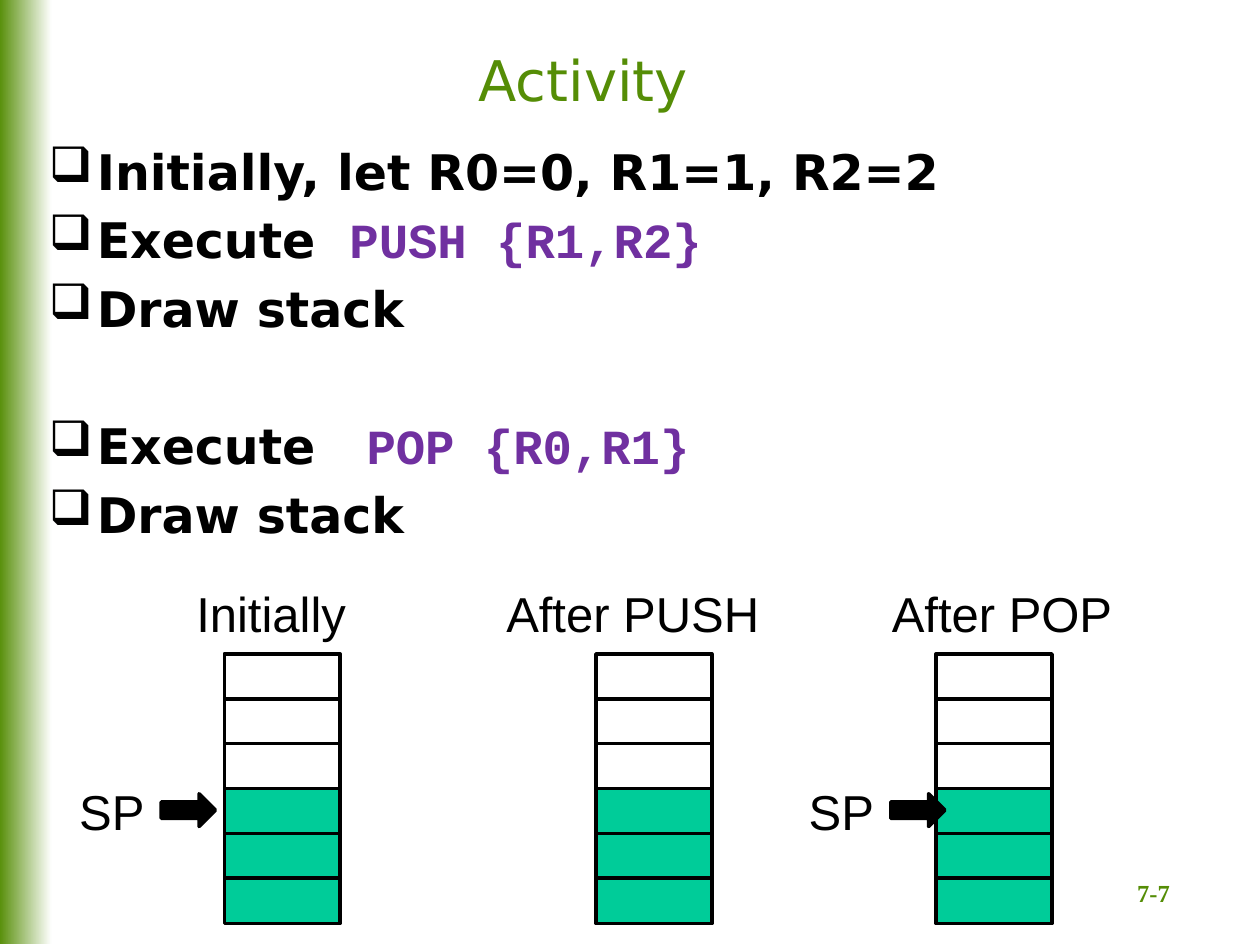
from dataclasses import dataclass
from lxml import etree
from pptx import Presentation
from pptx.dml.color import RGBColor
from pptx.enum.shapes import MSO_SHAPE
from pptx.enum.text import MSO_ANCHOR, PP_ALIGN
from pptx.oxml.ns import qn
from pptx.util import Inches, Pt

RECT, ARROW = MSO_SHAPE.RECTANGLE, MSO_SHAPE.RIGHT_ARROW
TOP, MIDDLE, BOTTOM = MSO_ANCHOR.TOP, MSO_ANCHOR.MIDDLE, MSO_ANCHOR.BOTTOM
LEFT, CENTER = PP_ALIGN.LEFT, PP_ALIGN.CENTER


@dataclass(frozen=True)
class Theme:
    green: str = "558D06"
    teal: str = "00CC99"
    purple: str = "7030A0"
    black: str = "000000"
    white: str = "FFFFFF"
    head: str = "DejaVu Sans"
    code: str = "Courier New"
    plain: str = "Arial"
    serif: str = "Times New Roman"
    title: int = 32
    body: int = 28
    small: int = 14
    gap: float = 5.6


class Deck:
    def __init__(self, theme):
        self.theme = theme
        self.file = Presentation()
        self.file.slide_width = Inches(10)
        self.file.slide_height = Inches(7.5)
        self.slide = self.file.slides.add_slide(self.file.slide_layouts[6])

    def frame(self, x, y, w, h, anchor=TOP, wrap=True):
        box = self.slide.shapes.add_textbox(Inches(x), Inches(y), Inches(w), Inches(h))
        frame = box.text_frame
        frame.word_wrap = wrap
        frame.vertical_anchor = anchor
        return frame

    def run(self, para, text, size, face, color, bold=False, space=0):
        run = para.add_run()
        run.text = text
        font = run.font
        font.size, font.name, font.bold = Pt(size), face, bold
        font.color.rgb = RGBColor.from_string(color)
        if space:
            run._r.get_or_add_rPr().set("spc", str(round(space * 100)))

    def label(self, x, y, w, h, text, size, face, color, bold=False,
              align=LEFT, anchor=TOP, wrap=True, tabs=()):
        para = self.frame(x, y, w, h, anchor, wrap).paragraphs[0]
        para.alignment = align
        if tabs:
            stops = etree.SubElement(para._p.get_or_add_pPr(), qn("a:tabLst"))
            for tab in tabs:
                etree.SubElement(stops, qn("a:tab"), pos=str(Inches(tab)), algn="l")
        self.run(para, text, size, face, color, bold)

    def bullets(self, x, y, w, h, items):
        look = self.theme
        frame = self.frame(x, y, w, h)
        for i, (text, space, code, before) in enumerate(items):
            para = frame.add_paragraph() if i else frame.paragraphs[0]
            props = para._p.get_or_add_pPr()
            props.set("marL", str(Inches(0.38)))
            props.set("indent", str(Inches(-0.38)))
            tint = etree.SubElement(props, qn("a:buClr"))
            etree.SubElement(tint, qn("a:srgbClr"), val=look.black)
            etree.SubElement(props, qn("a:buChar"), char="❑")
            if before:
                para.space_before = Pt(before)
            self.run(para, text, look.body, look.head, look.black, True)
            if code:
                self.run(para, " ", look.body, look.head, look.black, True, space)
                self.run(para, code, look.body, look.code, look.purple, True)

    def shape(self, kind, x, y, w, h, fill):
        shape = self.slide.shapes.add_shape(kind, Inches(x), Inches(y), Inches(w), Inches(h))
        shape.shadow.inherit = False
        shape.fill.solid()
        shape.fill.fore_color.rgb = RGBColor.from_string(fill)
        shape.line.color.rgb = RGBColor.from_string(self.theme.black)
        shape.line.width = Pt(2)
        return shape

    def fade(self, x, y, w, h, colors):
        bar = self.shape(RECT, x, y, w, h, colors[0])
        bar.line.fill.background()
        bar.fill.gradient()
        bar.fill.gradient_angle = 0
        for stop, color in zip(bar.fill.gradient_stops, colors):
            stop.color.rgb = RGBColor.from_string(color)

    def stack(self, x, y, free, used):
        look = self.theme
        for row, fill in enumerate([look.white] * free + [look.teal] * used):
            self.shape(RECT, x, y + row * 0.356, 0.92, 0.36, fill)

    def pointer(self, x, y):
        look = self.theme
        self.shape(ARROW, x + 0.75, y + 0.15, 0.43, 0.26, look.black)
        self.label(x, y, 0.72, 0.57, "SP", look.body, look.plain, look.black, wrap=False)


def main():
    look = Theme()
    deck = Deck(look)
    deck.fade(-0.01, -0.01, 0.42, 7.5, (look.green, look.white))
    deck.label(8.57, 6.79, 1.17, 0.46, "7-7", look.small, look.serif, look.green,
               bold=True, align=CENTER, anchor=BOTTOM)
    deck.label(0.42, 0.25, 8.42, 0.75, "Activity", look.title, look.head, look.green,
               align=CENTER, anchor=MIDDLE)
    deck.bullets(0.29, 1.07, 8.25, 3.55, [
        ("Initially, let R0=0, R1=1, R2=2", 0, "", 0),
        ("Execute", 9.75, "PUSH {R1,R2}", look.gap),
        ("Draw stack", 0, "", look.gap),
        ("Execute", 19.5, "POP {R0,R1}", look.gap * 8),
        ("Draw stack", 0, "", look.gap),
    ])
    for x in (1.78, 4.73, 7.43):
        deck.stack(x, 5.19, free=3, used=3)
    for x in (0.53, 6.32):
        deck.pointer(x, 6.15)
    deck.label(1.46, 4.58, 7.92, 0.57, "Initially\tAfter PUSH\tAfter POP",
               look.body, look.plain, look.black, tabs=(2.46, 5.52))
    deck.file.save("out.pptx")


if __name__ == "__main__":
    main()
